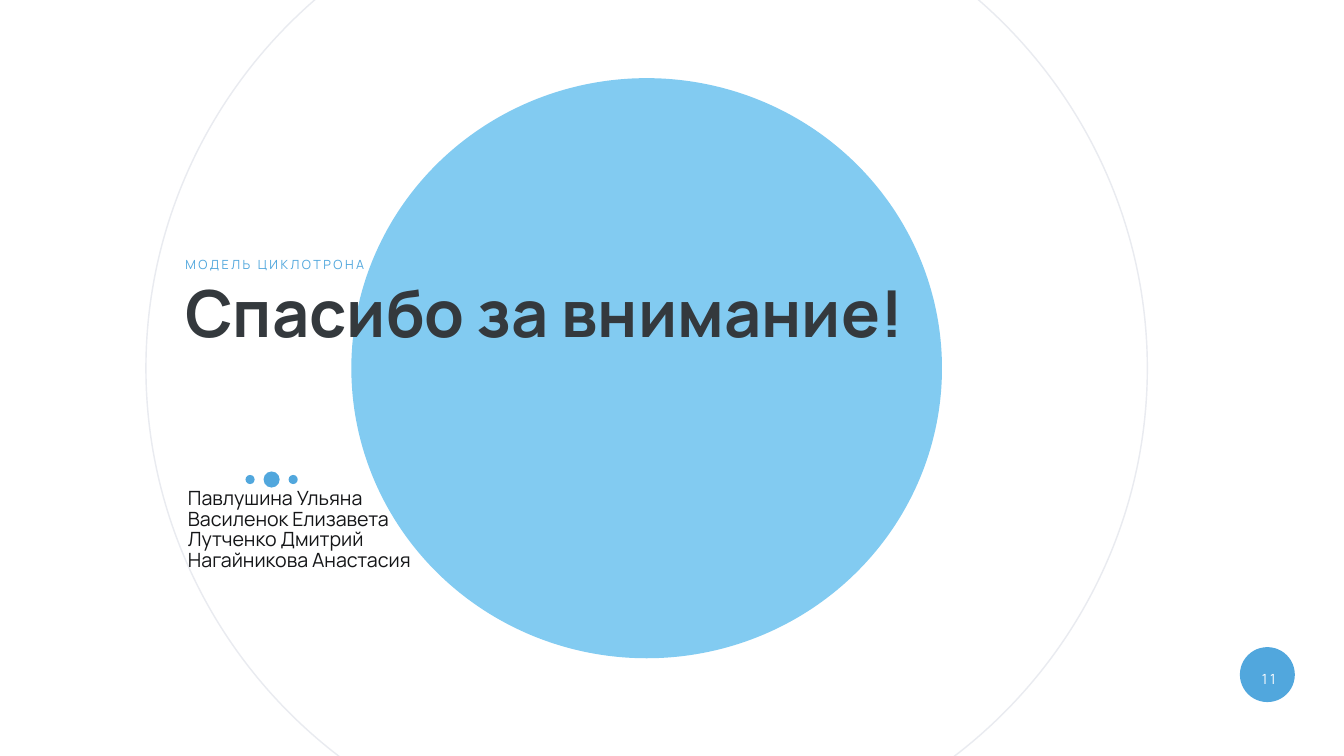
import pptx
import pptx.dml.color
import pptx.enum.shapes
import pptx.enum.text
import pptx.util

Pt = pptx.util.Pt
ALIGN = pptx.enum.text.PP_ALIGN
ANCHOR = pptx.enum.text.MSO_ANCHOR
COLORS = {
    "accent": "51A7DD",
    "disc": "82CBF1",
    "ring": "E9EBF0",
    "title": "34393D",
    "body": "151618",
    "white": "FFFFFF",
}
AUTHORS = [
    "Павлушина Ульяна",
    "Василенок Елизавета",
    "Лутченко Дмитрий",
    "Нагайникова Анастасия",
]


def rgb(name):
    return pptx.dml.color.RGBColor.from_string(COLORS[name])


class SlideBuilder:
    """Draws elements on one page; all lengths are in points."""

    font_name = "Manrope"
    inset = Pt(2.88)

    def __init__(self, page):
        self.page = page

    def ellipse(self, center_x, center_y, width, height, fill=None, line=None):
        shape = self.page.shapes.add_shape(
            pptx.enum.shapes.MSO_SHAPE.OVAL,
            Pt(center_x - width / 2), Pt(center_y - height / 2),
            Pt(width), Pt(height))
        shape.shadow.inherit = False
        if fill:
            shape.fill.solid()
            shape.fill.fore_color.rgb = rgb(fill)
        else:
            shape.fill.background()
        if line:
            shape.line.color.rgb = rgb(line)
            shape.line.width = Pt(2)
        else:
            shape.line.fill.background()

    def fill_text(self, box, lines, size, color, bold=False, align=ALIGN.LEFT,
                  anchor=ANCHOR.TOP, line_spacing=1.0, tracking=0):
        """Fill a box with one paragraph per line; tracking is in points."""
        frame = box.text_frame
        frame_format = {
            "word_wrap": True, "vertical_anchor": anchor,
            "auto_size": pptx.enum.text.MSO_AUTO_SIZE.NONE,
            "margin_left": self.inset, "margin_right": self.inset,
            "margin_top": self.inset, "margin_bottom": self.inset,
        }
        para_format = {
            "alignment": align, "line_spacing": line_spacing,
            "space_before": Pt(0), "space_after": Pt(0),
        }
        font_format = {"name": self.font_name, "size": Pt(size), "bold": bold}
        self.apply(frame, frame_format)
        for index, line in enumerate(lines):
            para = frame.add_paragraph() if index else frame.paragraphs[0]
            self.apply(para, para_format)
            span = para.add_run()
            span.text = line
            self.apply(span.font, font_format)
            span.font.color.rgb = rgb(color)
            if tracking:
                span.font._element.set("spc", str(round(tracking * 100)))

    def text(self, left, top, width, height, lines, **style):
        box = self.page.shapes.add_textbox(
            Pt(left), Pt(top), Pt(width), Pt(height))
        self.fill_text(box, lines, **style)

    def title(self, left, top, width, height, line, **style):
        """Move the title placeholder to the front and fill it."""
        box = self.page.shapes.title
        place = {"left": Pt(left), "top": Pt(top),
                 "width": Pt(width), "height": Pt(height)}
        self.apply(box, place)
        self.page.shapes._spTree.append(box._element)
        self.fill_text(box, [line], **style)

    @staticmethod
    def apply(target, values):
        for name, value in values.items():
            setattr(target, name, value)


def main():
    deck = pptx.Presentation()
    deck.slide_width, deck.slide_height = Pt(1920), Pt(1080)
    page = deck.slides.add_slide(deck.slide_layouts[5])
    page.background.fill.solid()
    page.background.fill.fore_color.rgb = rgb("white")
    builder = SlideBuilder(page)

    builder.ellipse(1810.5, 963.7, 78.5, 78.5, fill="accent")
    builder.ellipse(923.8, 526, 843.8, 828.7, fill="disc")
    builder.ellipse(923.8, 526, 1430.6, 1405.4, line="ring")

    builder.text(1777, 955.4, 70.6, 30.2, ["11"], size=20, color="white",
                 align=ALIGN.CENTER, tracking=4)
    builder.text(262, 363.6, 305.3, 28, ["МОДЕЛЬ ЦИКЛОТРОНА"], size=18,
                 color="accent", anchor=ANCHOR.MIDDLE, tracking=3.6)
    builder.title(261.4, 393.8, 1048.3, 197.3, "Спасибо за внимание!",
                  size=92.5, color="title", bold=True, line_spacing=0.96)
    builder.text(265.7, 696.2, 912.2, 465.1, AUTHORS, size=28, color="body",
                 align=ALIGN.JUSTIFY, line_spacing=0.87)

    for offset, diameter in ((0, 23), (30.8, 13), (-30.8, 13)):
        builder.ellipse(388 + offset, 685, diameter, diameter, fill="accent")

    deck.save("out.pptx")


if __name__ == "__main__":
    main()
